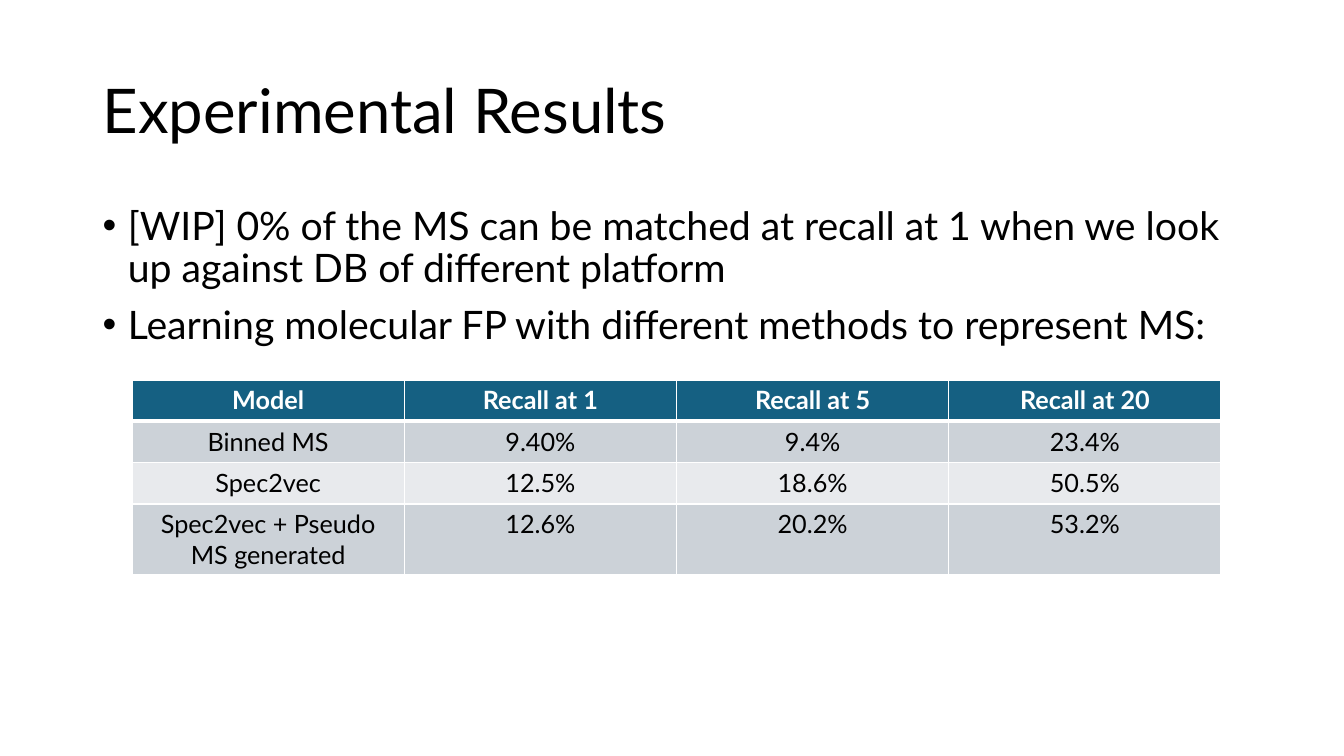
from pptx import Presentation
from pptx import util as u
from pptx.dml.color import RGBColor
from pptx.enum import text
from pptx.oxml import parse_xml
from pptx.oxml.ns import nsdecls

BLACK = RGBColor(0x00, 0x00, 0x00)
WHITE = RGBColor(0xFF, 0xFF, 0xFF)
TEAL = RGBColor(0x15, 0x60, 0x82)
GREY = RGBColor(0xCC, 0xD2, 0xD8)
PALE = RGBColor(0xE8, 0xEA, 0xED)

TITLE = "Experimental Results"
POINTS = [
    "[WIP] 0% of the MS can be matched at recall at 1 when we look up "
    "against DB of different platform",
    "Learning molecular FP with different methods to represent MS:",
]
SCORES = [
    ["Model", "Recall at 1", "Recall at 5", "Recall at 20"],
    ["Binned MS", "9.40%", "9.4%", "23.4%"],
    ["Spec2vec", "12.5%", "18.6%", "50.5%"],
    ["Spec2vec + Pseudo MS generated", "12.6%", "20.2%", "53.2%"],
]
HEIGHTS = [0.41, 0.41, 0.41, 0.69]


def write(para, words, font="Lato", size=18, color=BLACK, bold=False,
          align=None, line=None, before=None):
    run = para.add_run()
    run.text = words
    run.font.name, run.font.size = font, u.Pt(size)
    run.font.color.rgb, run.font.bold = color, bold
    para.alignment = align
    para.line_spacing = line
    if before is not None:
        para.space_before = u.Pt(before)


def bullet(para, indent=0.25):
    props = para._p.get_or_add_pPr()
    props.set("marL", str(u.Inches(indent)))
    props.set("indent", str(u.Inches(-indent)))
    props.append(parse_xml(f'<a:buFont {nsdecls("a")} typeface="Arial"/>'))
    props.append(parse_xml(f'<a:buChar {nsdecls("a")} char="•"/>'))


def border(cell, **widths):
    """Draw white cell edges; widths are points keyed L, R, T, B in that order."""
    props = cell._tc.get_or_add_tcPr()
    for side, width in widths.items():
        props.append(parse_xml(
            f'<a:ln{side} {nsdecls("a")} w="{u.Pt(width)}"><a:solidFill>'
            f'<a:srgbClr val="{WHITE}"/></a:solidFill></a:ln{side}>'))


class Page:
    def __init__(self, slide, font="Lato"):
        self.slide, self.font = slide, font

    def frame(self, left, top, width, height, anchor):
        box = self.slide.shapes.add_textbox(*map(u.Inches, (left, top, width, height)))
        frame = box.text_frame
        frame.word_wrap = True
        frame.vertical_anchor = anchor
        return frame

    def title(self, words):
        frame = self.frame(0.92, 0.4, 11.5, 1.45, text.MSO_ANCHOR.MIDDLE)
        write(frame.paragraphs[0], words, font=self.font, size=44, line=0.9)

    def points(self, items):
        frame = self.frame(0.92, 2, 11.5, 4.76, text.MSO_ANCHOR.TOP)
        for i, item in enumerate(items):
            para = frame.add_paragraph() if i else frame.paragraphs[0]
            write(para, item, font=self.font, size=28, line=0.9, before=10)
            bullet(para)

    def table(self, rows, heights, left=1.31, top=3.77, col=2.7):
        count = len(rows[0])
        table = self.slide.shapes.add_table(
            len(rows), count, u.Inches(left), u.Inches(top),
            u.Inches(col * count), u.Inches(sum(heights))).table
        table.first_row = True
        table.horz_banding = False
        for column in table.columns:
            column.width = u.Inches(col)
        for r, (row, height) in enumerate(zip(rows, heights)):
            table.rows[r].height = u.Inches(height)
            head = r == 0
            fill = TEAL if head else GREY if r % 2 else PALE
            for c, words in enumerate(row):
                cell = table.cell(r, c)
                border(cell, L=1, R=1, T=3 if r == 1 else 1, B=3 if head else 1)
                cell.fill.solid()
                cell.fill.fore_color.rgb = fill
                write(cell.text_frame.paragraphs[0], words, font=self.font,
                      color=WHITE if head else BLACK, bold=head,
                      align=text.PP_ALIGN.CENTER)


def main():
    deck = Presentation()
    deck.slide_width, deck.slide_height = u.Inches(13.33), u.Inches(7.5)
    page = Page(deck.slides.add_slide(deck.slide_layouts[6]))
    page.title(TITLE)
    page.points(POINTS)
    page.table(SCORES, HEIGHTS)
    deck.save("out.pptx")


if __name__ == "__main__":
    main()
